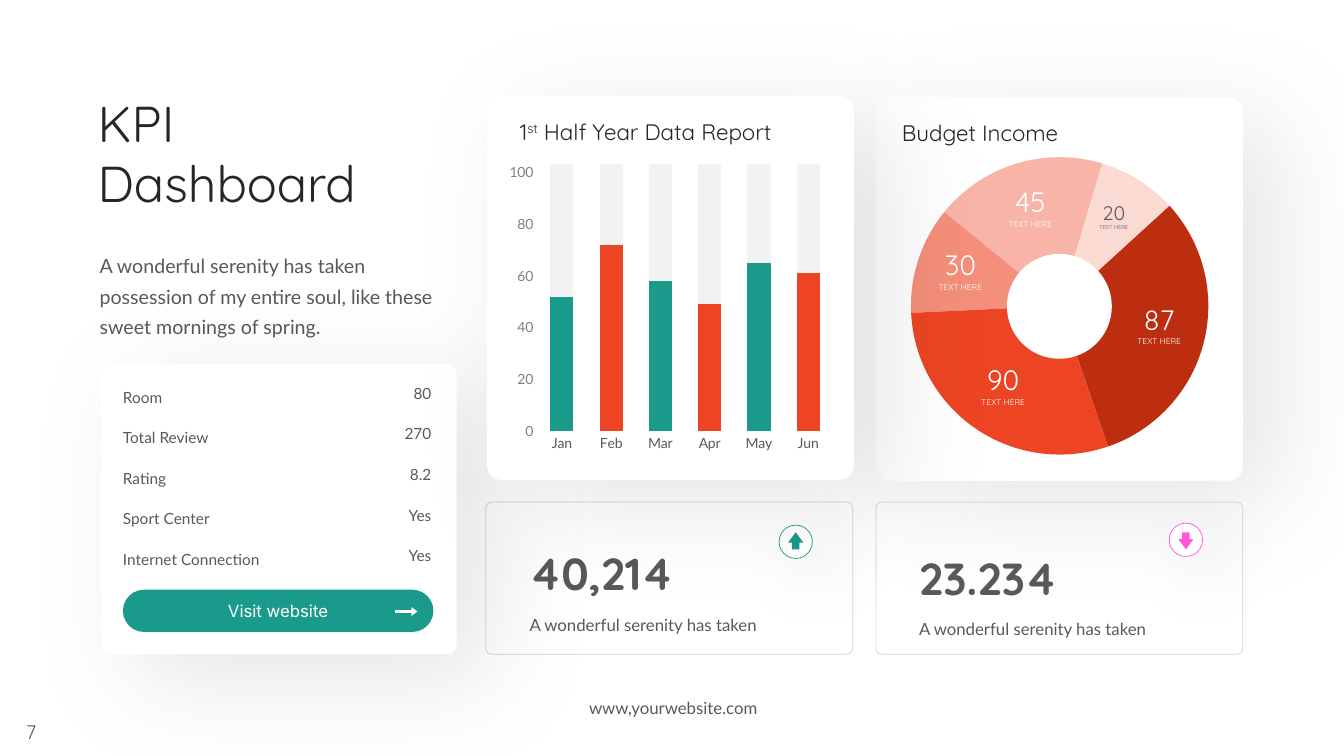
"""Build the KPI dashboard slide."""
from lxml.etree import SubElement
from pptx import Presentation
from pptx.chart.data import CategoryChartData
from pptx.dml.color import RGBColor
from pptx.enum.chart import XL_CHART_TYPE as ChartType, XL_TICK_MARK as TickMark
from pptx.enum.shapes import MSO_SHAPE as Shape
from pptx.enum.text import MSO_ANCHOR as Anchor, MSO_AUTO_SIZE as AutoSize, PP_ALIGN as Align
from pptx.oxml import parse_xml
from pptx.oxml.ns import nsdecls, qn
from pptx.util import Pt

WHITE = RGBColor(0xFF, 0xFF, 0xFF)
INK = RGBColor(0x26, 0x26, 0x26)
GREY = RGBColor(0x59, 0x59, 0x59)
AXIS_GREY = RGBColor(0x80, 0x80, 0x80)
BORDER = RGBColor(0xA6, 0xA6, 0xA6)
TRACK = RGBColor(0xF2, 0xF2, 0xF2)
TEAL = RGBColor(0x1A, 0x9A, 0x8B)
ORANGE = RGBColor(0xED, 0x45, 0x23)
PINK = RGBColor(0xFF, 0x57, 0xD7)
BRICK = RGBColor(0xBD, 0x2D, 0x0F)
CORAL = RGBColor(0xF4, 0x8F, 0x7B)
SALMON = RGBColor(0xF8, 0xB5, 0xA7)
BLUSH = RGBColor(0xFB, 0xDA, 0xD3)

HEADING, BODY = "Quicksand", "Lato"
SENTENCE = "A wonderful serenity has taken"

MONTHS = [("Jan", 52), ("Feb", 72), ("Mar", 58), ("Apr", 49), ("May", 65), ("Jun", 61)]
AXIS_TOP = 103
FACTS = [("Room", "80"), ("Total Review", "270"), ("Rating", "8.2"),
         ("Sport Center", "Yes"), ("Internet Connection", "Yes")]

# value, fill, start angle, end angle, label centre, label top, text colour, sizes, caption drop
SLICES = [
    ("87", BRICK, 317.6, 71, 828, 212.4, WHITE, (20, 6), 24.5),
    ("20", BLUSH, 286.6, 317.6, 795.6, 139.7, GREY, (14, 4), 16.5),
    ("45", SALMON, 219.1, 286.6, 736, 128.2, WHITE, (20, 6), 24.5),
    ("30", CORAL, 177.3, 219.1, 686, 173.5, WHITE, (20, 6), 24.5),
    ("90", ORANGE, 71, 177.3, 716.6, 255.6, WHITE, (20, 6), 24.5),
]

# card left, figure, figure left, figure top, badge top, arrow, colour
INDICATORS = [
    (625.7, "23.234", 649.4, 389.5, 373.7, Shape.DOWN_ARROW, PINK),
    (347, "40,214", 371.2, 386.6, 375.1, Shape.UP_ARROW, TEAL),
]


def style(paragraph, font, size, color, align=Align.LEFT, spacing=None, after=0, bold=False):
    paragraph.alignment = align
    paragraph.space_after = Pt(after)
    if spacing:
        paragraph.line_spacing = spacing
    for run in paragraph.runs:
        run.font.name = font
        run.font.size = Pt(size)
        run.font.bold = bold
        run.font.color.rgb = color


def add_text(slide, text, left, top, width, height, *args, **options):
    frame = slide.shapes.add_textbox(Pt(left), Pt(top), Pt(width), Pt(height)).text_frame
    frame.word_wrap = True
    frame.text = text
    style(frame.paragraphs[0], *args, **options)
    return frame.paragraphs[0]


def add_figure(slide, kind, left, top, width, height, fill=None, line=None, adjust=()):
    shape = slide.shapes.add_shape(kind, Pt(left), Pt(top), Pt(width), Pt(height))
    shape.shadow.inherit = False
    if fill is None:
        shape.fill.background()
    else:
        shape.fill.solid()
        shape.fill.fore_color.rgb = fill
    if line is None:
        shape.line.fill.background()
    else:
        shape.line.color.rgb = line
        shape.line.width = Pt(0.5)
    for index, value in enumerate(adjust):
        shape.adjustments[index] = value
    return shape


def add_shadow(shape, blur, distance, angle):
    effects = shape._element.spPr.find(qn("a:effectLst"))
    effects.append(parse_xml(
        f'<a:outerShdw {nsdecls("a")} blurRad="{Pt(blur)}" dist="{Pt(distance)}" '
        f'dir="{angle * 60000}" algn="tl" rotWithShape="0">'
        '<a:srgbClr val="000000"><a:alpha val="10000"/></a:srgbClr></a:outerShdw>'))


def add_card(slide, left, top, width, height, corner=0.038):
    card = add_figure(slide, Shape.ROUNDED_RECTANGLE, left, top, width, height, WHITE,
                      adjust=[corner])
    add_shadow(card, 80, 30, 35)


def add_budget(slide):
    add_card(slide, 625.7, 69.1, 262.1, 274.3)
    add_text(slide, "Budget Income", 637.2, 75.6, 150, 30, HEADING, 16, INK, spacing=1.3, after=6)
    for _, fill, start, end, *_ in SLICES:
        add_figure(slide, Shape.PIE, 650.7, 112.3, 212.4, 212.4, fill,
                   adjust=[start * 0.6, end * 0.6])
    for value, _, _, _, centre, top, color, (size, small), drop in SLICES:
        add_text(slide, value, centre - 24, top, 48, 32, HEADING, size, color, Align.CENTER)
        add_text(slide, "TEXT HERE", centre - 24, top + drop, 48, 14, HEADING, small, color,
                 Align.CENTER)
    add_figure(slide, Shape.OVAL, 719.3, 181.4, 74.9, 74.9, WHITE)


def add_indicator(slide, left, figure, text_left, text_top, badge_top, arrow, color):
    card = add_figure(slide, Shape.ROUNDED_RECTANGLE, left, 358.6, 262.1, 108.7, None, BORDER,
                      [0.038])
    line_color = card.line._ln.find(".//" + qn("a:srgbClr"))
    SubElement(line_color, qn("a:alpha")).set("val", "50000")
    badge = add_figure(slide, Shape.OVAL, left + 209.5, badge_top, 23.8, 23.8, WHITE, color)
    add_shadow(badge, 50, 20, 45)
    add_figure(slide, arrow, left + 216, 380.2, 10.8, 12.2, color, adjust=[0.5, 0.681])
    add_text(slide, figure, text_left, text_top, 165, 46, HEADING, 32, GREY, after=6, bold=True)
    add_text(slide, SENTENCE, text_left, text_top + 44.6, 187, 24, BODY, 12, GREY,
             spacing=1.3, after=6)


def add_facts(slide):
    add_card(slide, 72, 259.9, 254.2, 207.4, 0.031)
    table = slide.shapes.add_table(len(FACTS), 2, Pt(80.6), Pt(270.7), Pt(234.8), Pt(145)).table
    table.first_row = table.horz_banding = False
    table.columns[0].width, table.columns[1].width = Pt(160), Pt(74.8)
    for row, fact in enumerate(FACTS):
        table.rows[row].height = Pt(29)
        for column, (text, align, spacing) in enumerate(
                zip(fact, (Align.LEFT, Align.RIGHT), (1.2, 1.0))):
            cell = table.cell(row, column)
            cell.fill.background()
            cell.text = text
            style(cell.text_frame.paragraphs[0], BODY, 11, GREY, align, spacing)
    button = add_figure(slide, Shape.ROUNDED_RECTANGLE, 87.8, 421.2, 221.8, 30.2, TEAL,
                        adjust=[0.5])
    button.text_frame.text = "Visit website"
    button.text_frame.vertical_anchor = Anchor.MIDDLE
    style(button.text_frame.paragraphs[0], "Inter", 12, WHITE, Align.CENTER)
    add_figure(slide, Shape.RIGHT_ARROW, 282.2, 433.6, 15.9, 6.4, WHITE, adjust=[0.3, 0.67])


def style_axis(axis, color):
    axis.format.line.fill.background()
    axis.has_major_gridlines = False
    axis.major_tick_mark = TickMark.NONE
    font = axis.tick_labels.font
    font.name, font.size, font.color.rgb = BODY, Pt(10), color


def add_report(slide):
    add_card(slide, 347.8, 68.4, 262.1, 274.3)
    heading = add_text(slide, "1", 364.3, 74.9, 233, 30, HEADING, 16, INK)
    for text in ("st", " Half Year Data Report"):
        heading.add_run().text = text
    style(heading, HEADING, 16, INK, spacing=1.3, after=6)
    heading.runs[1].font._element.set("baseline", "30000")

    data = CategoryChartData()
    data.categories = [month for month, _ in MONTHS]
    data.add_series("Track", [AXIS_TOP] * len(MONTHS))
    data.add_series("Result", [value for _, value in MONTHS])
    left, top, width, height = 354, 108, 246, 226
    chart = slide.shapes.add_chart(ChartType.COLUMN_CLUSTERED, Pt(left), Pt(top), Pt(width),
                                   Pt(height), data).chart
    chart.has_legend = chart.has_title = False
    style_axis(chart.category_axis, GREY)
    style_axis(chart.value_axis, AXIS_GREY)
    chart.value_axis.minimum_scale, chart.value_axis.maximum_scale = 0, AXIS_TOP
    chart.value_axis.major_unit = 20
    plot = chart.plots[0]
    plot.overlap, plot.gap_width, plot.vary_by_categories = 100, 113, False
    track, result = plot.series
    track.format.fill.solid()
    track.format.fill.fore_color.rgb = TRACK
    for index in range(len(MONTHS)):
        fill = result.points[index].format.fill
        fill.solid()
        fill.fore_color.rgb = (TEAL, ORANGE)[index % 2]

    area = chart._chartSpace.chart.plotArea
    for layout in area.findall(qn("c:layout")):
        area.remove(layout)
    sizes = {"x": (383.8 - left) / width, "y": (117.4 - top) / height,
             "w": 211.2 / width, "h": 190.8 / height}
    parts = "".join(f'<c:{key}Mode val="edge"/>' for key in "xy")
    parts += "".join(f'<c:{key} val="{value:.4f}"/>' for key, value in sizes.items())
    area.insert(0, parse_xml(f'<c:layout {nsdecls("c")}><c:manualLayout>'
                             f'<c:layoutTarget val="inner"/>{parts}</c:manualLayout></c:layout>'))


def main():
    presentation = Presentation()
    presentation.slide_width, presentation.slide_height = Pt(960), Pt(540)
    slide = presentation.slides.add_slide(presentation.slide_layouts[5])
    title = slide.shapes.title
    title.left, title.top, title.width, title.height = Pt(62.6), Pt(61.9), Pt(253.4), Pt(94.3)
    frame = title.text_frame
    frame.text = "KPI Dashboard"
    frame.word_wrap, frame.auto_size, frame.vertical_anchor = True, AutoSize.NONE, Anchor.TOP
    style(frame.paragraphs[0], HEADING, 36, INK)
    add_text(slide, "7", 0, 510.5, 44.6, 24.5, HEADING, 14, GREY, Align.CENTER)
    add_text(slide, SENTENCE + " possession of my entire soul, like these sweet mornings of spring.",
             64.1, 172.8, 262.1, 71.3, BODY, 14, GREY, spacing=1.3, after=6)
    add_budget(slide)
    for indicator in INDICATORS:
        add_indicator(slide, *indicator)
    add_facts(slide)
    add_text(slide, "www,yourwebsite.com", 393.1, 494.6, 175.7, 21.6, BODY, 12, GREY, Align.CENTER)
    add_report(slide)
    presentation.save("out.pptx")


if __name__ == "__main__":
    main()
